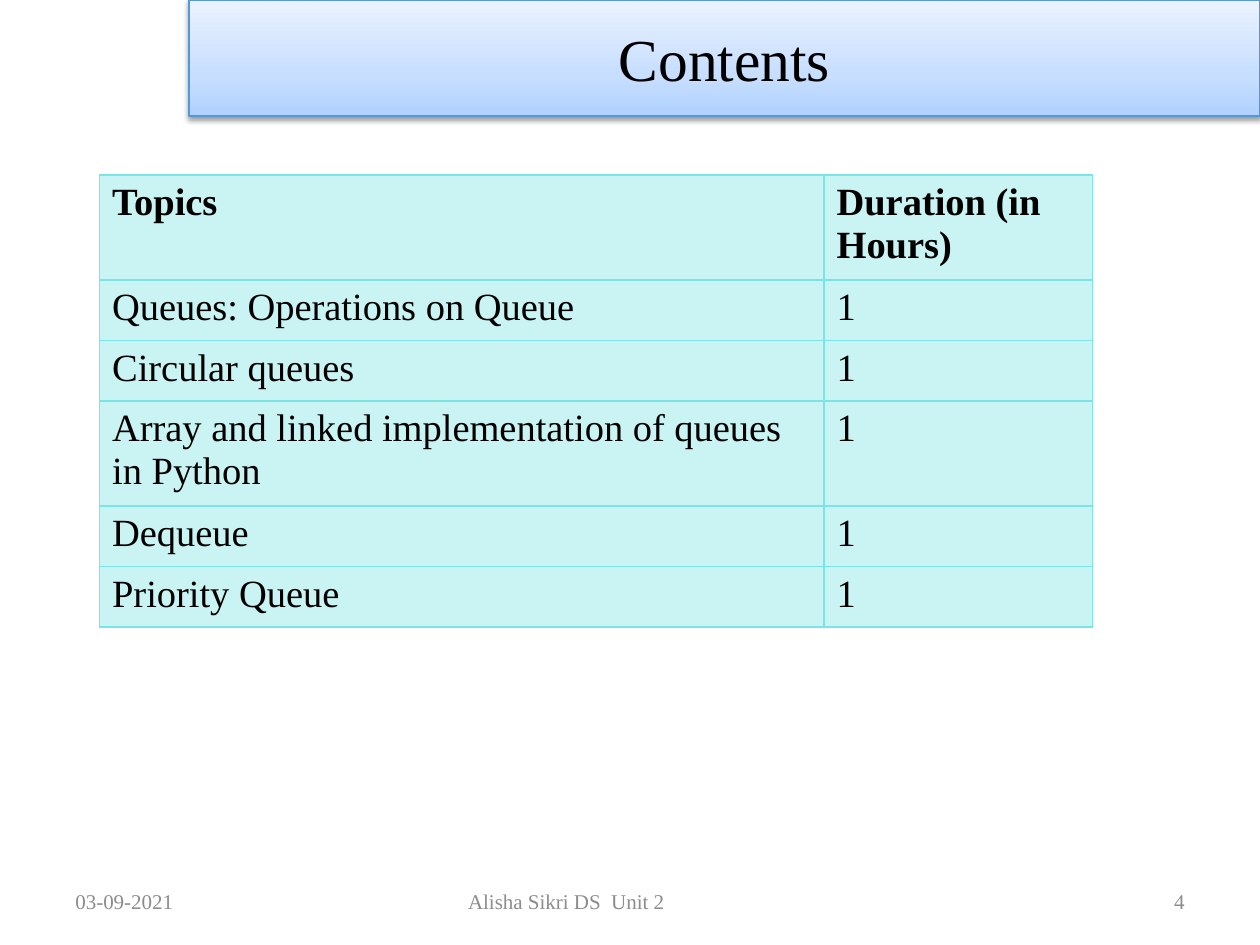
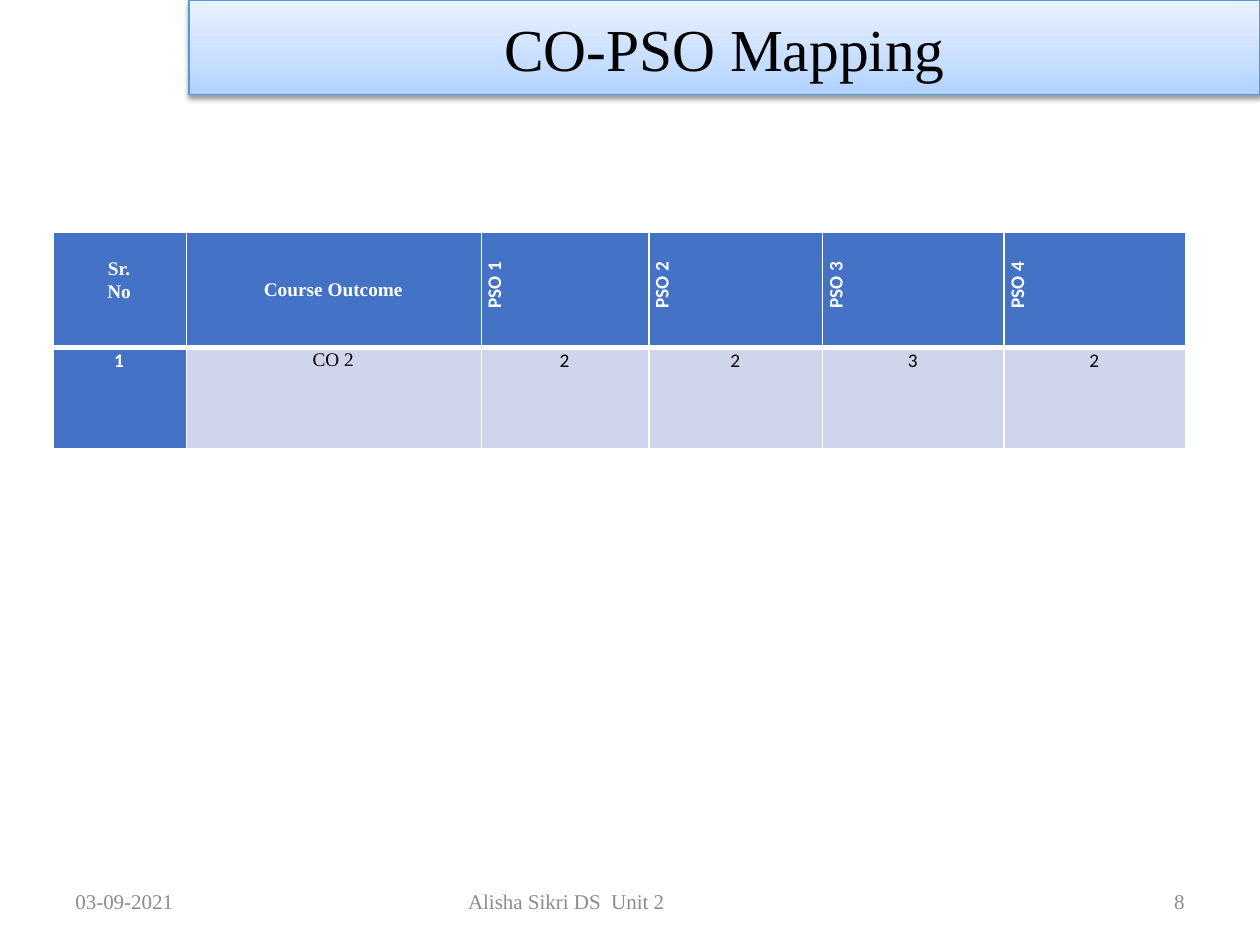
"""Build the contents and CO-PSO mapping slides of a data structures course."""
from pptx import Presentation
from pptx.dml.color import RGBColor as RGB
from pptx.enum.text import MSO_ANCHOR as Anchor, MSO_AUTO_SIZE as Fit, PP_ALIGN as Align
from pptx.oxml import parse_xml
from pptx.oxml.ns import nsdecls, qn
from pptx.util import Inches, Pt


class Theme:
    serif, sans = "Times New Roman", "Calibri"
    black, white, grey = "000000", "FFFFFF", "8C8C8C"
    aqua, blue, pale, rim = "7BE5E5", "4472C4", "CFD5EA", "5698D3"
    fade = [(0, "B0D2FF"), (35, "C7DEFF"), (100, "EAF2FF")]
    head, body, small, foot = 34, 22, 11, 12


deck = Presentation()
deck.slide_width, deck.slide_height = Inches(10), Inches(7.5)
UNIT = deck.slide_width // 100
NS = nsdecls("a")


def style(para, face, size, color, bold=False, align=Align.LEFT):
    """Format one paragraph."""
    para.alignment = align
    font = para.font
    font.name, font.size, font.bold = face, Pt(size), bold
    font.color.rgb = RGB.from_string(color)


def paint(cell, fill, edge, alpha=100, top=1, base=1):
    """Fill a cell and draw its four borders."""
    cell.fill.solid()
    cell.fill.fore_color.rgb = RGB.from_string(fill)
    props = cell._tc.get_or_add_tcPr()
    tint = props.find(qn("a:solidFill"))[0]
    if alpha < 100:
        tint.append(parse_xml(f'<a:alpha {NS} val="{alpha * 1000}"/>'))
    for spot, (side, width) in enumerate(zip("LRTB", (1, 1, top, base))):
        props.insert(spot, parse_xml(
            f'<a:ln{side} {NS} w="{Pt(width)}"><a:solidFill>'
            f'<a:srgbClr val="{edge}"/></a:solidFill></a:ln{side}>'))


stops = "".join(f'<a:gs pos="{pos * 1000}"><a:srgbClr val="{color}"/></a:gs>'
                for pos, color in Theme.fade)
topics = [("Topics", "Duration (in Hours)"),
          ("Queues: Operations on Queue", "1"),
          ("Circular queues", "1"),
          ("Array and linked implementation of queues in Python", "1"),
          ("Dequeue", "1"),
          ("Priority Queue", "1")]
scores = [("Sr.\nNo", "Course Outcome", "PSO 1", "PSO 2", "PSO 3", "PSO 4"),
          ("1", "CO 2", "2", "2", "3", "2")]
pages = [("Contents", 9.2, "4", topics, (7.9, 13.9), (57.5, 21.3), [4.8] * 6),
         ("CO-PSO Mapping", 7.5, "8", scores, (4.2, 18.4),
          (10.6, 23.4, 13.3, 13.8, 14.4, 14.4), (9.2, 8))]
grids = []

for name, tall, page, rows, spot, cols, highs in pages:
    slide = deck.slides.add_slide(deck.slide_layouts[5])
    title = slide.shapes.title
    title.left, title.top = 15 * UNIT, 0
    title.width, title.height = 85 * UNIT, int(tall * UNIT)
    frame = title.text_frame
    frame.text = name
    frame.auto_size, frame.vertical_anchor = Fit.NONE, Anchor.MIDDLE
    style(frame.paragraphs[0], Theme.serif, Theme.head, Theme.black, align=Align.CENTER)
    props = title._element.spPr
    props.append(parse_xml(f'<a:gradFill {NS} rotWithShape="1"><a:gsLst>{stops}</a:gsLst>'
                           '<a:lin ang="16200000" scaled="0"/></a:gradFill>'))
    title.line.color.rgb = RGB.from_string(Theme.rim)
    title.line.width = Pt(0.75)
    props.append(parse_xml(
        f'<a:effectLst {NS}><a:outerShdw blurRad="{Pt(3.1)}" dist="{Pt(1.6)}" dir="5400000" '
        f'rotWithShape="0"><a:srgbClr val="{Theme.black}"><a:alpha val="38000"/></a:srgbClr>'
        '</a:outerShdw></a:effectLst>'))

    for text, left, wide, align in (("03-09-2021", 5, 23.3, Align.LEFT),
                                    ("Alisha Sikri DS  Unit 2", 29.1, 31.7, Align.CENTER),
                                    (page, 71.7, 23.3, Align.RIGHT)):
        box = slide.shapes.add_textbox(int(left * UNIT), int(69.5 * UNIT),
                                       int(wide * UNIT), 4 * UNIT)
        frame = box.text_frame
        frame.text = text
        frame.word_wrap, frame.vertical_anchor = True, Anchor.MIDDLE
        style(frame.paragraphs[0], Theme.serif, Theme.foot, Theme.grey, align=align)

    left, top = spot
    grid = slide.shapes.add_table(len(rows), len(cols), int(left * UNIT), int(top * UNIT),
                                  int(sum(cols) * UNIT), int(sum(highs) * UNIT)).table
    grid.first_row = grid.horz_banding = False
    for col, wide in zip(grid.columns, cols):
        col.width = int(wide * UNIT)
    for row, high, texts in zip(grid.rows, highs, rows):
        row.height = int(high * UNIT)
        for cell, text in zip(row.cells, texts):
            cell.text = text
    grids.append(grid)

hours, marks = grids
for r, row in enumerate(hours.rows):
    for cell in row.cells:
        paint(cell, Theme.aqua, Theme.aqua, alpha=40)
        style(cell.text_frame.paragraphs[0], Theme.serif, Theme.body, Theme.black, r == 0)

for r, row in enumerate(marks.rows):
    for c, cell in enumerate(row.cells):
        top = r == 0
        bold = top or c == 0
        paint(cell, Theme.blue if bold else Theme.pale, Theme.white,
              top=1 if top else 3, base=3 if top else 1)
        cell.margin_left, cell.margin_right = Inches(0.08), Inches(0.09)
        cell.margin_top = Inches((0.2, 0.37)[c]) if top and c < 2 else 0
        cell.margin_bottom = 0
        face = Theme.serif if c == 1 or top and c == 0 else Theme.sans
        for para in cell.text_frame.paragraphs:
            para.line_spacing = 1.06
            style(para, face, Theme.small, Theme.white if bold else Theme.black,
                  bold, Align.CENTER)
            if top and c > 1:
                cell._tc.tcPr.set("vert", "vert270")
                para._p.get_or_add_pPr().set("marL", str(Inches(0.08)))

deck.save("out.pptx")
